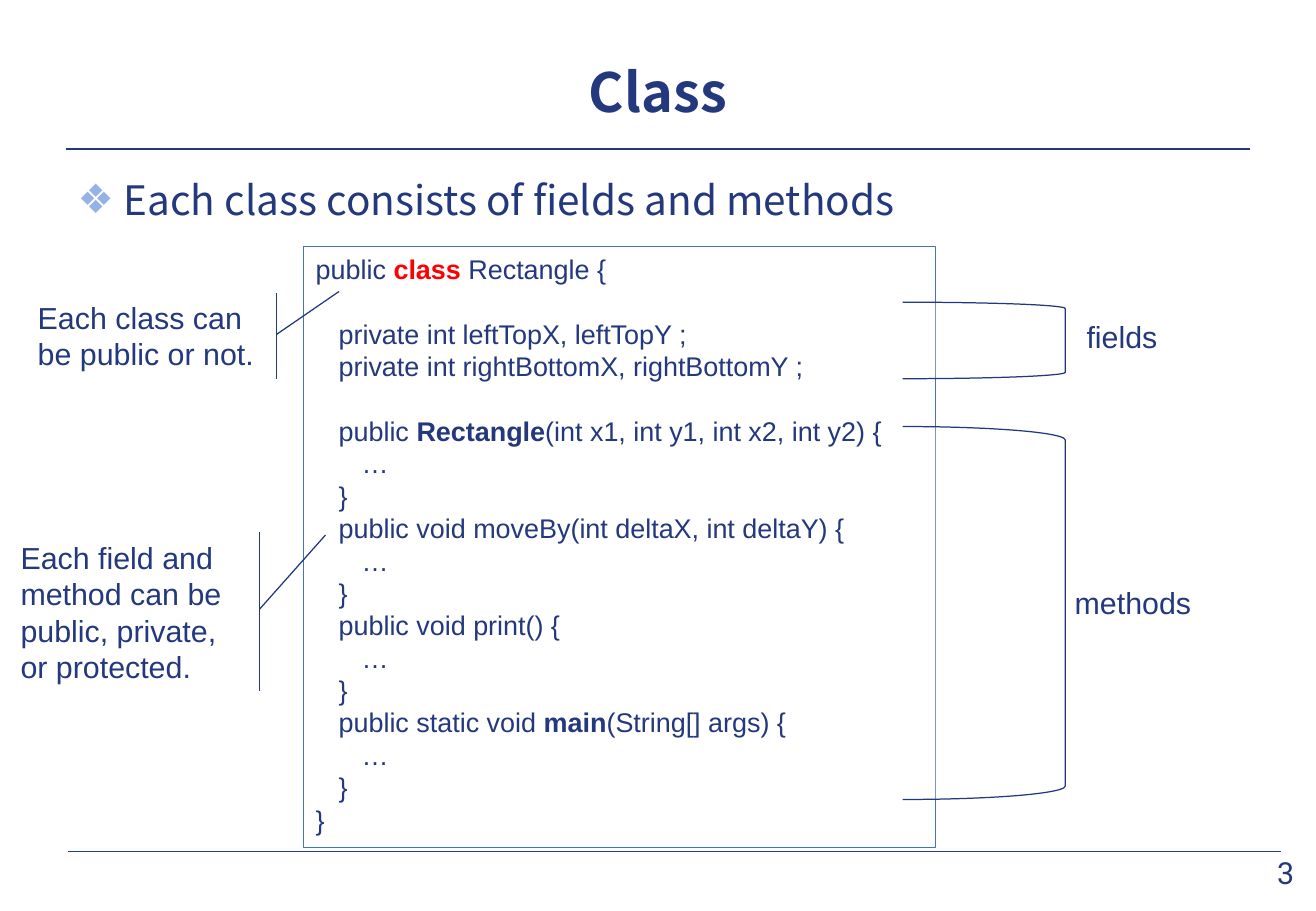
from lxml import etree
from pptx import Presentation
from pptx.dml.color import RGBColor
from pptx.enum.shapes import MSO_CONNECTOR, MSO_SHAPE
from pptx.enum.text import MSO_ANCHOR, MSO_AUTO_SIZE, PP_ALIGN
from pptx.oxml.ns import qn
from pptx.util import Cm, Pt

CENTER, LEFT = PP_ALIGN.CENTER, PP_ALIGN.LEFT
TOP, MIDDLE = MSO_ANCHOR.TOP, MSO_ANCHOR.MIDDLE
NO_AUTOFIT = MSO_AUTO_SIZE.NONE
STRAIGHT = MSO_CONNECTOR.STRAIGHT
RECTANGLE = MSO_SHAPE.RECTANGLE
BRACKET = MSO_SHAPE.RIGHT_BRACKET
CALLOUT = MSO_SHAPE.LINE_CALLOUT_1_ACCENT_BAR

NAVY, RED, WHITE = "23387D", "FF0000", "FFFFFF"
RULE_BLUE, FRAME_BLUE, BULLET_BLUE = "1A3D97", "4972BB", "96B1E6"
HEADING_FONT, CODE_FONT, NUMBER_FONT = "Noto Sans CJK KR", "Arial", "Roboto"
CODE_INDENT = 0.48
CODE_PITCH = 19.2

# Each line: indent level, blank lines above, text parts with their format
BOLD = {"bold": True}
CODE_LINES = [
    (0, 0, [("public ", {}), ("class", {"bold": True, "color": RED}), (" Rectangle {", {})]),
    (1, 1, [("private int leftTopX, leftTopY ;", {})]),
    (1, 0, [("private int rightBottomX, rightBottomY ;", {})]),
]
METHODS = [
    [("public ", {}), ("Rectangle", BOLD), ("(int x1, int y1, int x2, int y2) {", {})],
    [("public void moveBy(int deltaX, int deltaY) {", {})],
    [("public void print() {", {})],
    [("public static void ", {}), ("main", BOLD), ("(String[] args) {", {})],
]
for number, signature in enumerate(METHODS):
    CODE_LINES += [
        (1, 1 if number == 0 else 0, signature),
        (2, 0, [("…", {})]),
        (1, 0, [("}", {})]),
    ]
CODE_LINES.append((0, 0, [("}", {})]))


def rgb(value):
    return RGBColor.from_string(value)


def write(paragraph, text, size=18, font=CODE_FONT, color=NAVY, bold=False, align=LEFT):
    paragraph.alignment = align
    run = paragraph.add_run()
    run.text = text
    run.font.size = Pt(size)
    run.font.name = font
    run.font.bold = bold
    run.font.color.rgb = rgb(color)


def set_frame(frame, anchor=TOP, wrap=True):
    frame.word_wrap = wrap
    frame.auto_size = NO_AUTOFIT
    frame.vertical_anchor = anchor


def add_outline(slide, kind, box, line_color, fill_color=None):
    shape = slide.shapes.add_shape(kind, *map(Cm, box))
    shape.shadow.inherit = False
    shape.line.color.rgb = rgb(line_color)
    shape.line.width = Pt(0.75)
    if fill_color:
        shape.fill.solid()
        shape.fill.fore_color.rgb = rgb(fill_color)
    else:
        shape.fill.background()
    return shape


def add_rule(slide, left, right, top, color, width):
    rule = slide.shapes.add_connector(STRAIGHT, Cm(left), Cm(top), Cm(right), Cm(top))
    rule.line.color.rgb = rgb(color)
    rule.line.width = Pt(width)
    etree.SubElement(rule._element.spPr, qn("a:effectLst"))


def add_label(slide, box, text, **text_format):
    label = slide.shapes.add_textbox(*map(Cm, box))
    set_frame(label.text_frame, MIDDLE, wrap=False)
    write(label.text_frame.paragraphs[0], text, align=CENTER, **text_format)
    return label


def place(placeholder, box):
    placeholder.left, placeholder.top, placeholder.width, placeholder.height = map(Cm, box)


def fill_title(slide, box, text):
    left, top, width, height = box
    title = slide.shapes.title
    place(title, box)
    set_frame(title.text_frame, MIDDLE)
    write(title.text_frame.paragraphs[0], text, size=32, font=HEADING_FONT,
          bold=True, align=CENTER)
    add_rule(slide, left, left + width, top + height + 0.22, NAVY, 1.5)


def fill_body(slide, box, text):
    body = slide.placeholders[1]
    place(body, box)
    set_frame(body.text_frame)
    paragraph = body.text_frame.paragraphs[0]
    write(paragraph, text, size=24, font=HEADING_FONT)
    paragraph.space_before = Pt(4.8)
    properties = paragraph._p.get_or_add_pPr()
    properties.set("marL", str(Cm(0.96)))
    properties.set("indent", str(-Cm(0.96)))
    bullet_color = etree.SubElement(properties, qn("a:buClr"))
    etree.SubElement(bullet_color, qn("a:srgbClr"), val=BULLET_BLUE)
    etree.SubElement(properties, qn("a:buChar"), char="❖")


def add_code(slide, box):
    frame = add_outline(slide, RECTANGLE, box, FRAME_BLUE).text_frame
    set_frame(frame)
    for index, (level, gap, parts) in enumerate(CODE_LINES):
        paragraph = frame.paragraphs[0] if index == 0 else frame.add_paragraph()
        paragraph.line_spacing = Pt(CODE_PITCH)
        paragraph.space_before = Pt(gap * CODE_PITCH)
        paragraph._p.get_or_add_pPr().set("marL", str(Cm(level * CODE_INDENT)))
        for text, text_format in parts:
            write(paragraph, text, size=16, **text_format)


def add_bracket(slide, box, text, label_box):
    """Label box is left and top from the bracket's corner, width, height."""
    bracket = add_outline(slide, BRACKET, box, NAVY, WHITE)
    bracket.adjustments[0] = 0.083
    fill = bracket._element.spPr.find(qn("a:solidFill"))
    etree.SubElement(fill[0], qn("a:alpha"), val="26000")
    dx, dy, width, height = label_box
    add_label(slide, (box[0] + dx, box[1] + dy, width, height), text)


def add_callout(slide, box, text, pointer):
    """Pointer is the y and x of the line's end as shares of the box."""
    callout = add_outline(slide, CALLOUT, box, NAVY, WHITE)
    for index, value in enumerate((0.484, 1.003, *pointer)):
        callout.adjustments[index] = value
    frame = callout.text_frame
    set_frame(frame, MIDDLE)
    frame.margin_left, frame.margin_right = Cm(0.43), Cm(0.3)
    paragraph = frame.paragraphs[0]
    paragraph.line_spacing = Pt(21.5)
    write(paragraph, text)


def add_footer(slide, box, number):
    left, top, width, height = box
    add_rule(slide, left, left + width - 0.74, top, RULE_BLUE, 0.25)
    label = add_label(slide, (left + width - 1.27, top + 0.05, 1.27, height),
                      number, font=NUMBER_FONT)
    frame = label.text_frame
    frame.margin_left = frame.margin_right = frame.margin_top = frame.margin_bottom = 0


def main():
    deck = Presentation()
    deck.slide_width, deck.slide_height = Cm(27.51), Cm(19.05)
    slide = deck.slides.add_slide(deck.slide_layouts[1])
    add_footer(slide, (1.42, 17.81, 26.09, 0.76), "3")
    fill_title(slide, (1.37, 0.89, 24.77, 2.01), "Class")
    fill_body(slide, (1.37, 3.53, 24.77, 1.6), "Each class consists of fields and methods")
    add_code(slide, (6.35, 5.16, 13.21, 12.57))
    add_bracket(slide, (18.87, 6.32, 3.4, 1.6), "fields", (3.58, 0.21, 2.01, 1.02))
    add_bracket(slide, (18.87, 8.92, 3.4, 7.8), "methods", (3.33, 3.17, 2.97, 1.02))
    add_callout(slide, (0.36, 6.12, 5.41, 1.8),
                "Each class can be public or not.", (-0.014, 1.244))
    add_callout(slide, (0, 11.13, 5.41, 3.33),
                "Each field and method can be public, private, or protected.", (0.018, 1.258))
    deck.save("out.pptx")


if __name__ == "__main__":
    main()
